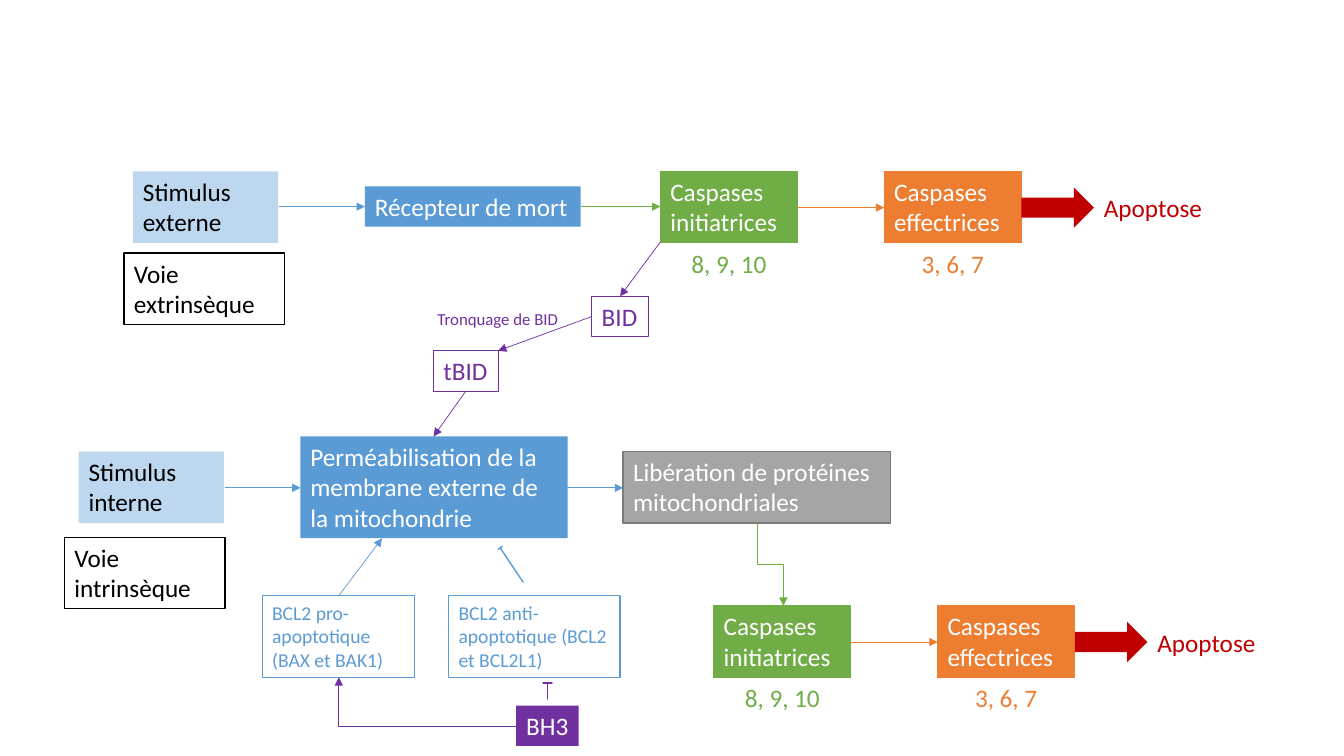
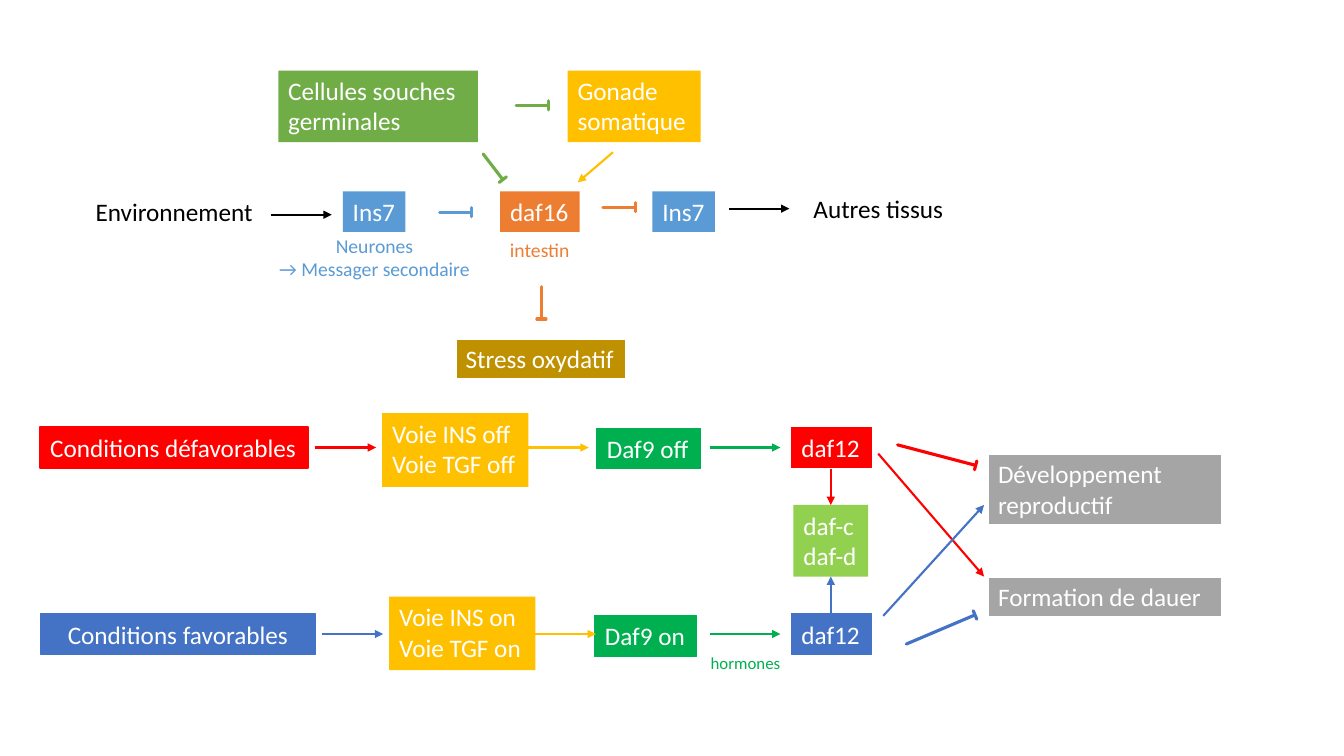
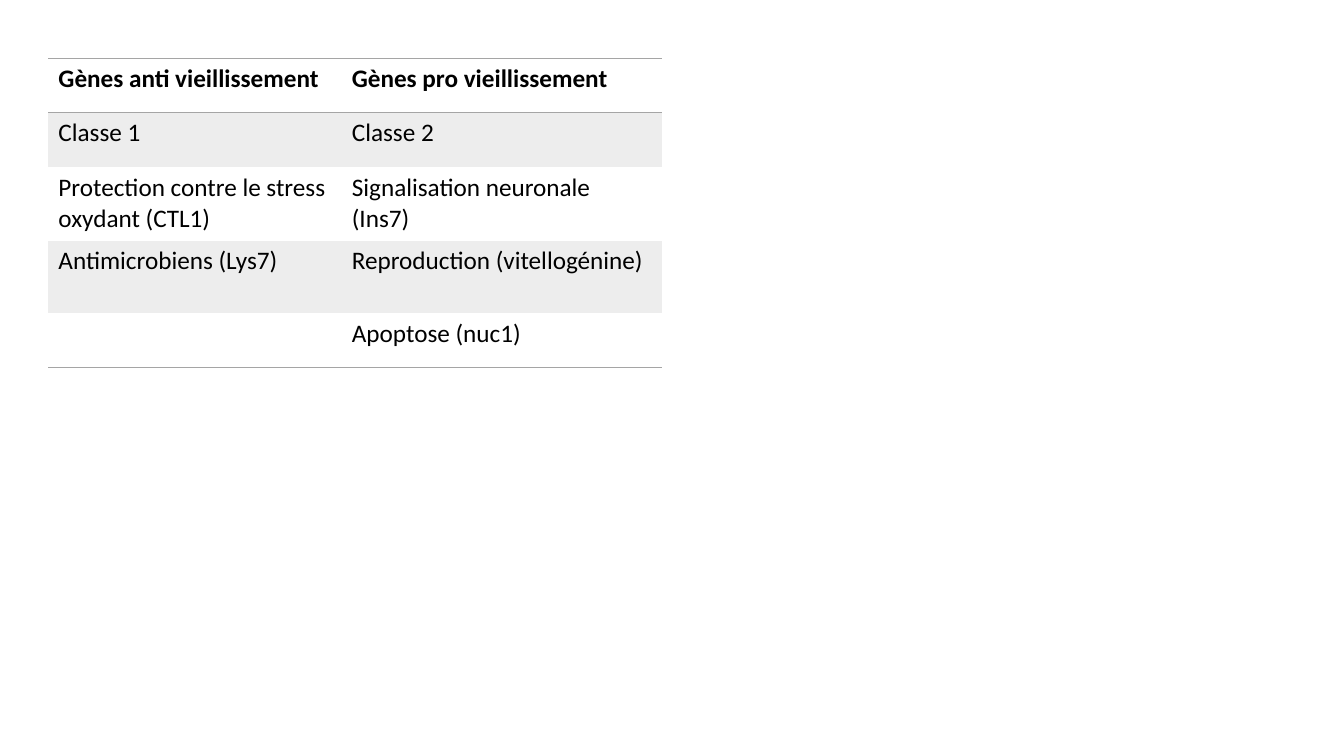
import pptx
import pptx.util
import pptx.dml.color
import pptx.enum.shapes
import pptx.enum.text
import pptx.oxml.ns
import lxml.etree

PX = 9144  # 100 px to the inch
FONT = "Calibri"
HEX = {
    "black": "000000", "white": "FFFFFF", "pale": "BDD7EE", "sky": "5B9BD5",
    "blue": "4472C4", "grey": "A5A5A5", "dark": "7A7A7A", "band": "EDEDED",
    "leaf": "70AD47", "green": "00B050", "lime": "92D050", "rust": "ED7D31",
    "gold": "FFC000", "brown": "BF9000", "red": "FF0000", "wine": "C00000",
    "plum": "7030A0",
}
RGB = {name: pptx.dml.color.RGBColor.from_string(code) for name, code in HEX.items()}
FORM = pptx.enum.shapes.MSO_SHAPE
WIRE = pptx.enum.shapes.MSO_CONNECTOR
ALIGN = pptx.enum.text.PP_ALIGN
qn = pptx.oxml.ns.qn


def box(slide, at, text="", fill=None, ink="white", line=None, wide=0.75,
        size=18, wrap=True, mid=False, form="rect", turn=0):
    """Text box, rectangle, block arrow or inhibition bar."""
    place = [n * PX for n in at]
    if form == "text":
        item = slide.shapes.add_textbox(*place)
    else:
        kind = FORM.RECTANGLE if form == "rect" else FORM.RIGHT_ARROW
        item = slide.shapes.add_shape(kind, *place)
        item.shadow.inherit = False
        item.rotation = turn
        if form == "bar":
            item.adjustments[0] = item.adjustments[1] = 0
        for part, tint in ((item.fill, fill), (item.line.fill, line)):
            if tint:
                part.solid()
                part.fore_color.rgb = RGB[tint]
            else:
                part.background()
        if line:
            item.line.width = pptx.util.Pt(wide)
    if not text:
        return
    frame = item.text_frame
    look = {"word_wrap": wrap,
            "auto_size": pptx.enum.text.MSO_AUTO_SIZE.SHAPE_TO_FIT_TEXT,
            "vertical_anchor": pptx.enum.text.MSO_ANCHOR.TOP}
    for key, val in look.items():
        setattr(frame, key, val)
    frame.text = text
    for para in frame.paragraphs:
        para.alignment = ALIGN.CENTER if mid else ALIGN.LEFT
        font = para.runs[0].font
        for key, val in {"name": FONT, "size": pptx.util.Pt(size)}.items():
            setattr(font, key, val)
        font.color.rgb = RGB[ink]


def link(slide, ends, tint, wide, kind=WIRE.STRAIGHT, turn=0, bend=None):
    """Arrow; an elbow is given by its frame before the turn in degrees."""
    item = slide.shapes.add_connector(kind, *[n * PX for n in ends])
    item.line.color.rgb = RGB[tint]
    item.line.width = pptx.util.Pt(wide)
    tail = lxml.etree.SubElement(item.line._get_or_add_ln(), qn("a:tailEnd"))
    tail.set("type", "triangle")
    props = item._element.spPr
    lxml.etree.SubElement(props, qn("a:effectLst"))
    if turn:
        props.find(qn("a:xfrm")).set("rot", str(turn * 60000))
    if bend:
        props.find(qn("a:prstGeom")).set("prst", bend)


deck = pptx.Presentation()
deck.slide_width, deck.slide_height = 1333 * PX, 750 * PX
death, worm, genes = [deck.slides.add_slide(deck.slide_layouts[6]) for _ in range(3)]

# Slide 1: stimulus and pathway name, outer and inner
for side, x, y, left, top in (("externe", 132, 170, 123, 251),
                              ("interne", 78, 448, 64, 533)):
    box(death, (x, y, 144, 71), "Stimulus " + side, "pale", "black")
    way = {"externe": "extrinsèque", "interne": "intrinsèque"}[side]
    box(death, (left, top, 159, 71), "Voie " + way, None, "black", "black", 1)

# Caspase chains
for x, y in ((655, 170), (708, 601)):
    for step, name, nums, tint in ((0, "initiatrices", "8, 9, 10", "leaf"),
                                   (222, "effectrices", "3, 6, 7", "rust")):
        box(death, (x + step, y, 136, 71), "Caspases " + name, tint, line=tint)
        box(death, (x + step, y + 71, 136, 40), nums, ink=tint, mid=True, form="text")
    link(death, (x + 136, y + 36, x + 222, y + 36), "rust", 0.5)
    box(death, (x + 358, y + 16, 72, 40), fill="wine", form="arrow")
    box(death, (x + 430, y + 16, 119, 40), "Apoptose", ink="wine", wrap=False, form="text")

# Receptor and mitochondrion
box(death, (362, 185, 214, 40), "Récepteur de mort", "sky", wrap=False)
box(death, (298, 433, 265, 101),
    "Perméabilisation de la membrane externe de la mitochondrie", "sky")
box(death, (618, 448, 265, 71), "Libération de protéines mitochondriales",
    "grey", line="dark", wide=1)

# BCL2 family
for at, text in (((260, 591, 151, 81), "BCL2 pro-apoptotique (BAX et BAK1)"),
                 ((445, 591, 170, 81), "BCL2 anti-apoptotique (BCL2 et BCL2L1)")):
    box(death, at, text, None, "sky", "sky", size=14)
box(death, (512, 700, 62, 40), "BH3", "plum", wrap=False)
box(death, (487, 558, 41, 5), line="sky", wide=1, form="bar", turn=236.2)
box(death, (535, 681, 16, 9), line="plum", wide=1, form="bar", turn=270)

# BID bridge
for at, text in (((587, 294, 56, 40), "BID"), ((430, 348, 64, 40), "tBID")):
    box(death, at, text, None, "plum", "plum", wrap=False)
box(death, (424, 301, 141, 30), "Tronquage de BID", ink="plum", size=12,
    wrap=False, form="text")

# Arrows
for tint, *ends in (
        ("sky", 223, 484, 298, 484), ("sky", 562, 484, 618, 484),
        ("sky", 277, 205, 362, 205), ("leaf", 576, 205, 655, 205),
        ("sky", 336, 591, 379, 534), ("plum", 655, 240, 615, 294),
        ("plum", 587, 314, 494, 348), ("plum", 462, 388, 430, 433)):
    link(death, ends, tint, 0.5)
link(death, (805, 547, 723, 573), "leaf", 0.5, WIRE.ELBOW, 270)
link(death, (336, 672, 512, 721), "plum", 0.5, WIRE.ELBOW, 180, "bentConnector2")

# Slide 2: insulin signal
for x, w, text, tint in ((340, 62, "Ins7", "sky"), (496, 79, "daf16", "rust"),
                         (647, 62, "Ins7", "sky")):
    box(worm, (x, 190, w, 40), text, tint, wrap=False)
for x, w, text, tint in ((276, 198, "Cellules souches germinales", "leaf"),
                         (563, 132, "Gonade somatique", "gold")):
    box(worm, (x, 70, w, 71), text, tint)
box(worm, (452, 336, 169, 40), "Stress oxydatif", "brown", line="white",
    wide=1.5, wrap=False)

# Plain labels
for at, text, tint, size, wrap, mid in (
        ((85, 190, 184, 40), "Environnement", "black", 18, False, False),
        ((797, 187, 183, 40), "Autres tissus", "black", 18, True, False),
        ((496, 231, 80, 34), "intestin", "rust", 14, False, False),
        ((265, 227, 213, 57), "Neurones\n→ Messager secondaire", "sky", 14, False, True),
        ((695, 643, 99, 30), "hormones", "green", 12, True, False)):
    box(worm, at, text, ink=tint, size=size, wrap=wrap, mid=mid, form="text")

# Bad and good conditions
box(worm, (40, 424, 266, 40), "Conditions défavorables", "red", line="red", wide=1.5)
box(worm, (40, 609, 273, 40), "Conditions favorables", "blue", line="blue",
    wide=1, mid=True)
for state, tint, x, y, left, top, w, low in (
        ("off", "red", 379, 410, 592, 425, 103, 424),
        ("on", "blue", 386, 592, 590, 611, 101, 609)):
    box(worm, (x, y, 145, 73), f"Voie INS {state}\nVoie TGF {state}", "gold")
    box(worm, (left, top, w, 40), "Daf9 " + state, "green", line="green", wrap=False)
    box(worm, (785, low, 79, 40), "daf12", tint, line=tint, wrap=False)
    mid = low + 20
    for hue, start, end in ((tint, x - 67, x - 6), ("gold", x + 145, x + 205),
                            ("green", 704, 774)):
        link(worm, (start, mid, end, mid), hue, 1.5)

# Outcomes
box(worm, (787, 501, 74, 71), "daf-c\ndaf-d", "lime", wrap=False)
for y, h, text in ((450, 71, "Développement reproductif"), (572, 40, "Formation de dauer")):
    box(worm, (980, y, 232, h), text, "grey", line="white", wide=1.5)

# Arrows and inhibition bars
for tint, *ends in (
        ("black", 269, 213, 329, 213), ("black", 723, 207, 783, 207),
        ("gold", 608, 151, 573, 181), ("red", 824, 465, 824, 501),
        ("blue", 824, 609, 824, 572), ("red", 871, 450, 976, 572),
        ("blue", 876, 611, 976, 501)):
    link(worm, ends, tint, 1.5)
for tint, x, y, w, turn in (
        ("sky", 436, 206, 32, 0), ("rust", 598, 201, 32, 0),
        ("leaf", 473, 161, 32, 52.5), ("leaf", 512, 100, 32, 0),
        ("rust", 521, 296, 32, 90), ("red", 889, 447, 80, 14.7),
        ("blue", 896, 620, 74, 337)):
    box(worm, (x, y, w, 9), line=tint, wide=2.25, form="bar", turn=turn)

# Slide 3: gene table
ROWS = (
    (54, "Gènes anti vieillissement", "Gènes pro vieillissement"),
    (54, "Classe 1", "Classe 2"),
    (73, "Protection contre le stress oxydant (CTL1)", "Signalisation neuronale (Ins7)"),
    (72, "Antimicrobiens (Lys7)", "Reproduction (vitellogénine)"),
    (54, "", "Apoptose (nuc1)"),
)
EDGES = {0: ("a:lnB", "a:lnT"), len(ROWS) - 1: ("a:lnB",)}
grid = genes.shapes.add_table(len(ROWS), 2, 48 * PX, 58 * PX, 609 * PX, 307 * PX).table
grid.first_row = grid.horz_banding = False
style = grid._tbl.tblPr.find(qn("a:tableStyleId"))
style.text = "{2D5ABB26-0587-4C30-8999-92F81FD0307C}"  # no style, no grid
for col, w in zip(grid.columns, (291, 318)):
    col.width = w * PX
for r, (high, *texts) in enumerate(ROWS):
    grid.rows[r].height = high * PX
    for c, text in enumerate(texts):
        cell = grid.cell(r, c)
        if r % 2:
            cell.fill.solid()
            cell.fill.fore_color.rgb = RGB["band"]
        else:
            cell.fill.background()
        if text:
            cell.text = text
            font = cell.text_frame.paragraphs[0].runs[0].font
            look = {"name": FONT, "size": pptx.util.Pt(18), "bold": r == 0}
            for key, val in look.items():
                setattr(font, key, val)
            font.color.rgb = RGB["black"]
        for edge in EDGES.get(r, ()):
            rule = lxml.etree.Element(qn(edge), w="12700")
            paint = lxml.etree.SubElement(rule, qn("a:solidFill"))
            lxml.etree.SubElement(paint, qn("a:srgbClr"), val=HEX["grey"])
            cell._tc.get_or_add_tcPr().insert(0, rule)

deck.save("out.pptx")
